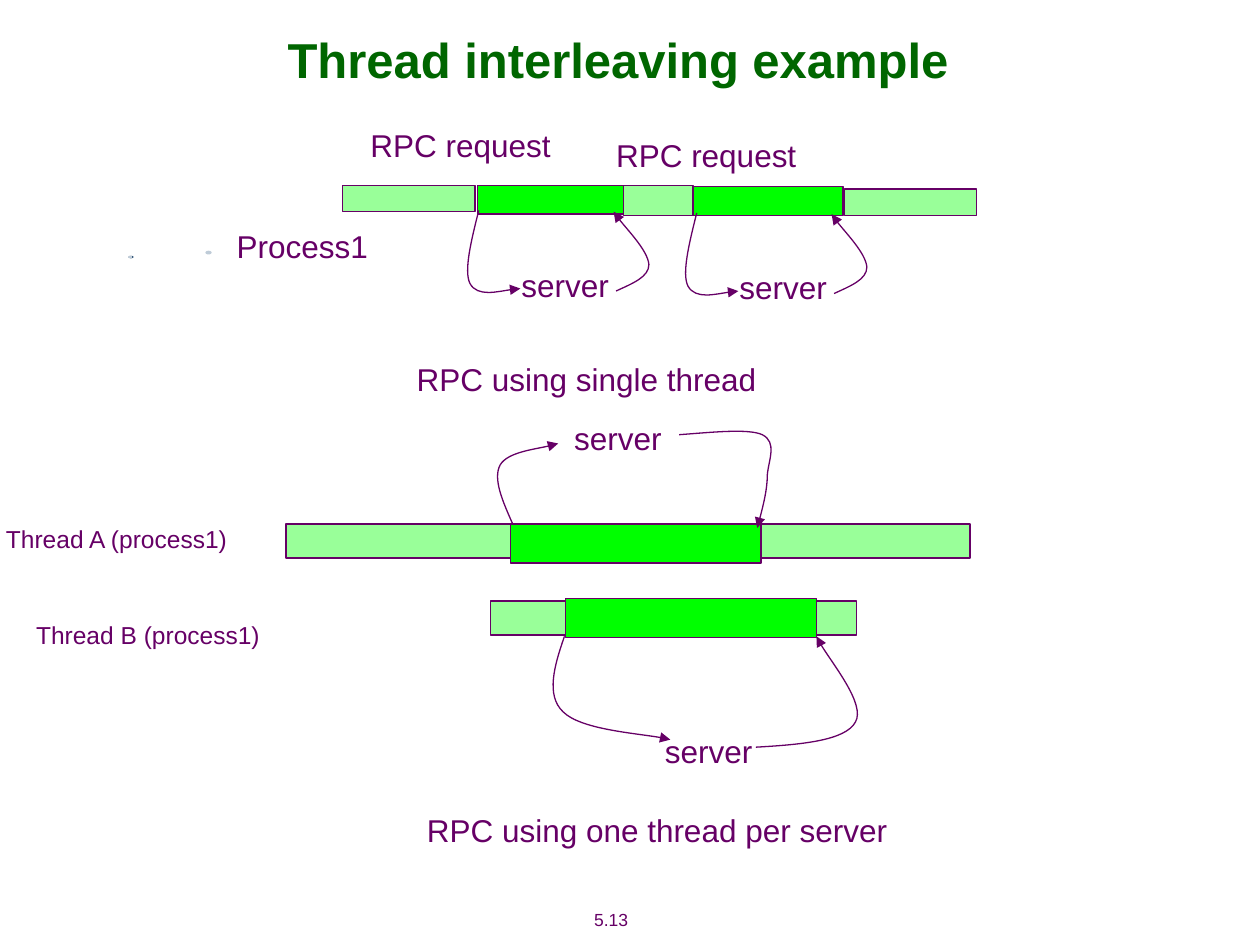
"""Build the thread interleaving slide: RPC with one thread and with two."""
from lxml import etree
from pptx import Presentation
from pptx.dml.color import RGBColor
from pptx.enum import shapes, text
from pptx.oxml import ns
from pptx.util import Pt

PX = 9144
PLUM = RGBColor(0x66, 0x00, 0x66)
FOREST = RGBColor(0x00, 0x66, 0x00)
PALE = RGBColor(0x99, 0xFF, 0x99)
LIME = RGBColor(0x00, 0xFF, 0x00)
NAVY = RGBColor(0x28, 0x4C, 0x70)
MIST = RGBColor(0xBF, 0xCC, 0xD8)

deck = Presentation()
deck.slide_width, deck.slide_height = 1000 * PX, 750 * PX
slide = deck.slides.add_slide(deck.slide_layouts[5])
parts = slide.shapes


def write(words, left, top, width, height, size=18, color=PLUM, bold=False,
          wrap=False, anchor=text.MSO_ANCHOR.TOP, before=0, box=None):
    if box is None:
        box = parts.add_textbox(0, 0, 0, 0)
    box.left, box.top = left * PX, top * PX
    box.width, box.height = width * PX, height * PX
    frame = box.text_frame
    frame.word_wrap = wrap
    frame.auto_size = text.MSO_AUTO_SIZE.NONE
    frame.vertical_anchor = anchor
    para = frame.paragraphs[0]
    para.alignment = text.PP_ALIGN.CENTER
    para.space_before = Pt(before)
    run = para.add_run()
    run.text = words
    run.font.name, run.font.size = "Arial", Pt(size)
    run.font.bold, run.font.color.rgb = bold, color


def curve(points, right=0, down=0):
    spots = [(x + right, y + down) for x, y in points]
    pen = parts.build_freeform(*spots[0], scale=PX)
    pen.add_line_segments(spots[1:], close=False)
    shape = pen.convert_to_shape()
    shape.shadow.inherit = False
    shape.fill.background()
    shape.line.color.rgb, shape.line.width = PLUM, Pt(0.75)
    track = shape.element.find(".//" + ns.qn("a:path"))
    lines = track.findall(ns.qn("a:lnTo"))
    for i in range(0, len(lines), 3):
        bend = etree.SubElement(track, ns.qn("a:cubicBezTo"))
        for line in lines[i:i + 3]:
            bend.append(line[0])
            track.remove(line)
    edge = shape.element.find(".//" + ns.qn("a:ln"))
    etree.SubElement(edge, ns.qn("a:tailEnd"), type="triangle")


write("Thread interleaving example", 140, 22, 701, 50, size=28, color=FOREST,
      bold=True, wrap=True, anchor=text.MSO_ANCHOR.MIDDLE, box=parts.title)

RECT, OVAL = shapes.MSO_SHAPE.RECTANGLE, shapes.MSO_SHAPE.OVAL
for kind, left, top, width, height, fill in [
    (OVAL, 102, 203, 4, 2, NAVY),
    (OVAL, 102, 203, 3, 2, MIST),
    (OVAL, 163, 199, 5, 3, MIST),
    (RECT, 272, 147, 105, 21, PALE),
    (RECT, 379, 147, 119, 23, LIME),
    (RECT, 495, 147, 55, 24, PALE),
    (RECT, 550, 148, 119, 23, LIME),
    (RECT, 670, 150, 105, 21, PALE),
    (RECT, 227, 416, 543, 27, PALE),
    (RECT, 405, 416, 199, 31, LIME),
    (RECT, 389, 477, 291, 27, PALE),
    (RECT, 449, 475, 199, 31, LIME),
]:
    bar = parts.add_shape(kind, left * PX, top * PX, width * PX, height * PX)
    bar.shadow.inherit = False
    bar.fill.solid()
    bar.fill.fore_color.rgb = fill
    if kind == RECT:
        bar.line.color.rgb, bar.line.width = PLUM, Pt(0.75)
    else:
        bar.line.fill.background()

for words, left, top, width in [
    ("Process1", 178, 175, 124),
    ("RPC request", 284, 95, 163),
    ("RPC request", 479, 103, 163),
    ("RPC using single thread", 321, 281, 289),
    ("server", 446, 328, 89),
    ("server", 518, 576, 89),
    ("RPC using one thread per server", 329, 639, 385),
]:
    write(words, left, top, width, 40)

for words, left, top in [("Thread A (process1)", -25, 411),
                         ("Thread B (process1)", 0, 487)]:
    write(words, left, top, 235, 34, size=14, wrap=True)

for right, down in [(0, 0), (173, 2)]:
    curve([(380, 167), (374, 191), (368, 215), (373, 225),
           (379, 236), (407, 229), (413, 229)], right, down)
    write("server", 404 + right, 206 + down, 89, 40)
    curve([(489, 231), (502, 225), (515, 220), (515, 210),
           (514, 199), (491, 175), (487, 168)], right, down)

for points in [
    [(407, 416), (399, 398), (391, 380), (397, 369),
     (403, 359), (435, 355), (443, 352)],
    [(539, 345), (566, 343), (594, 340), (605, 345), (617, 351),
     (610, 365), (609, 377), (609, 389), (603, 412), (601, 419)],
    [(448, 505), (440, 528), (433, 552), (447, 565),
     (461, 579), (518, 583), (532, 587)],
    [(600, 593), (635, 591), (671, 588), (679, 573),
     (687, 559), (653, 517), (648, 505)],
]:
    curve(points)

write("5.13", 438, 716, 94, 27, size=10, before=6.2,
      anchor=text.MSO_ANCHOR.MIDDLE)

deck.save("out.pptx")
